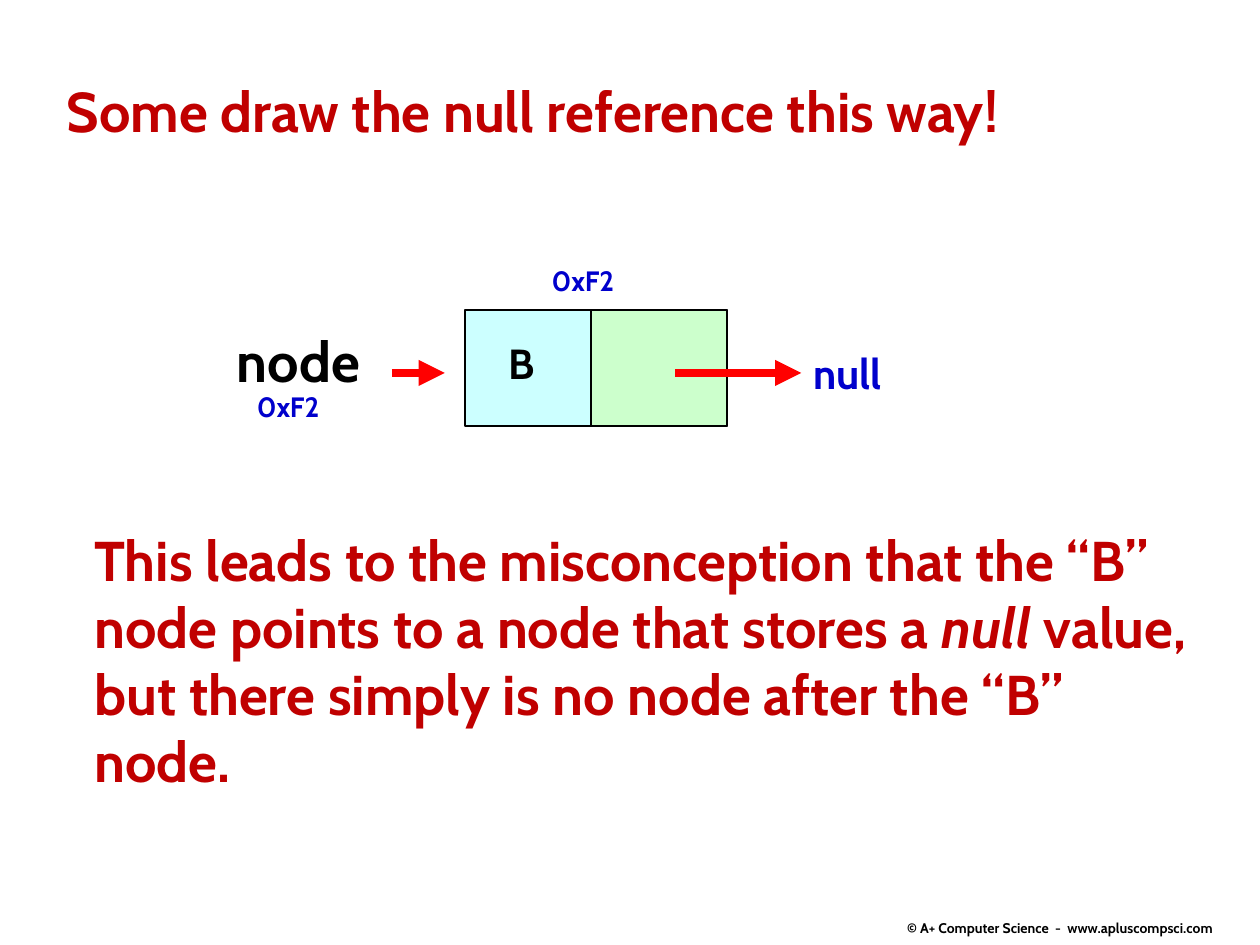
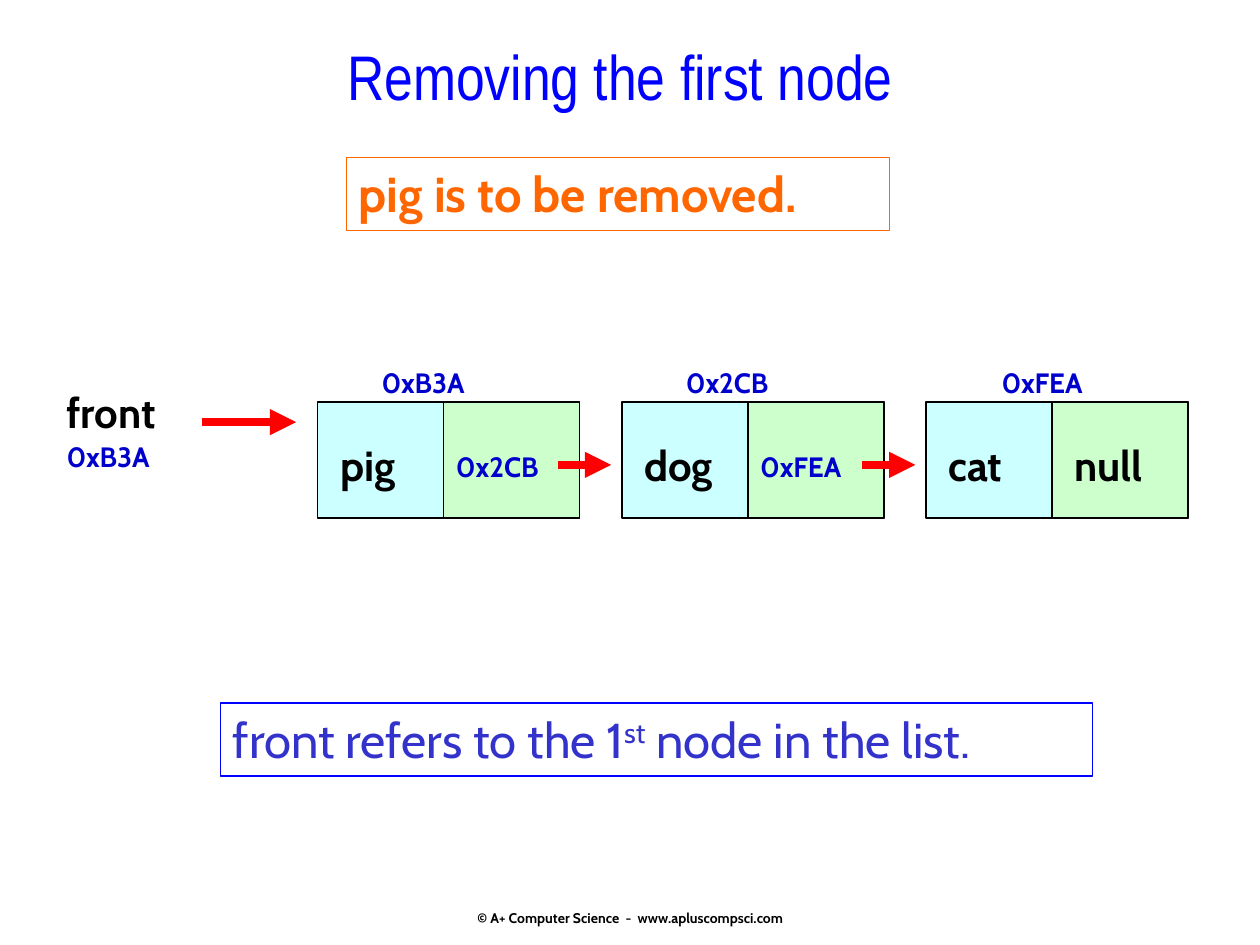
from lxml.etree import SubElement
from pptx import Presentation
from pptx.dml.color import RGBColor
from pptx.enum.shapes import MSO_CONNECTOR, MSO_SHAPE
from pptx.enum.text import MSO_ANCHOR, PP_ALIGN
from pptx.oxml.ns import qn
from pptx.util import Inches, Pt

COLORS = {
    "black": "000000", "link": "0000CC", "arrow": "FF0000",
    "data": "CCFFFF", "next": "CCFFCC", "red": "C00000",
    "orange": "FF6600", "blue": "0000FF", "note": "3333CC",
}

# style: font, size, colour, bold
STYLES = {
    "foot": ("Cabin", 8, "black", True),
    "head": ("Cabin", 32, "red", True),
    "title": ("Arial Narrow", 36, "blue", False),
    "name": ("Cabin", 32, "black", True),
    "value": ("Cabin", 24, "black", True),
    "null": ("Cabin", 24, "link", True),
    "addr": ("Cabin", 16, "link", True),
    "alert": ("Cabin", 28, "orange", True),
    "note": ("Cabin", 28, "note", False),
}

FOOTER = "© A+ Computer Science  -  www.apluscompsci.com"
HEAD = "Some draw the null reference this way!"
CLAIM = [
    ("This leads to the misconception that the “B” node points to a node "
     "that stores a ", None),
    ("null", "italic"),
    (" value, but there simply is no node after the “B” node.", None),
]
NOTE = [("front refers to the 1", None), ("st", "super"),
        (" node in the list.", None)]

# value, address, address offset, next, style of next
LIST = [
    ("pig", "0xB3A", 0.41, "0x2CB", "addr"),
    ("dog", "0x2CB", 0.41, "0xFEA", "addr"),
    ("cat", "0xFEA", 0.5, "null", "value"),
]

NODE_W, NODE_H, DATA_W = 2.08, 0.92, 1.0
NEXT_W = NODE_W - DATA_W
TALL, SMALL = 0.5, 0.37  # label heights
LIST_X, LIST_Y, PITCH = 2.52, 3.19, 2.415


def color(name):
    return RGBColor.from_string(COLORS[name])


def write(shape, runs, style, center=False, side=0.1, anchor=MSO_ANCHOR.TOP):
    """Fill a shape with one paragraph, given as a string or (text, effect) pairs."""
    frame = shape.text_frame
    frame.word_wrap = True
    frame.vertical_anchor = anchor
    frame.margin_left = frame.margin_right = Inches(side)
    para = frame.paragraphs[0]
    para.alignment = PP_ALIGN.CENTER if center else PP_ALIGN.LEFT
    font = para.font
    font.name, size, tint, font.bold = STYLES[style]
    font.size = Pt(size)
    font.color.rgb = color(tint)
    for text, effect in [(runs, None)] if isinstance(runs, str) else runs:
        run = para.add_run()
        run.text = text
        if effect == "italic":
            run.font.italic = True
        elif effect == "super":
            run._r.get_or_add_rPr().set("baseline", "30000")


def label(slide, box, runs, style, **layout):
    shape = slide.shapes.add_textbox(*map(Inches, box))
    write(shape, runs, style, **layout)
    return shape


def rect(slide, box, fill=None, line="black", width=1):
    shape = slide.shapes.add_shape(MSO_SHAPE.RECTANGLE, *map(Inches, box))
    shape.shadow.inherit = False
    if fill:
        shape.fill.solid()
        shape.fill.fore_color.rgb = color(fill)
    else:
        shape.fill.background()
    shape.line.color.rgb = color(line)
    shape.line.width = Pt(width)
    return shape


def arrow(slide, start, end, y):
    link = slide.shapes.add_connector(
        MSO_CONNECTOR.STRAIGHT, Inches(start), Inches(y), Inches(end), Inches(y))
    link.line.color.rgb = color("arrow")
    link.line.width = Pt(5)
    SubElement(link.line._get_or_add_ln(), qn("a:tailEnd"), type="triangle")
    SubElement(link._element.spPr, qn("a:effectLst"))


def node(slide, x, y):
    """Draw the data and next cells of a list node."""
    rect(slide, (x, y, NODE_W, NODE_H), "data")
    rect(slide, (x + DATA_W, y, NEXT_W, NODE_H), "next")


def page(deck, foot_x, foot_y):
    slide = deck.slides.add_slide(deck.slide_layouts[6])
    foot = label(slide, (foot_x, foot_y, 3.17, 0.5), FOOTER, "foot",
                 center=True, anchor=MSO_ANCHOR.BOTTOM)
    foot.text_frame.margin_bottom = 0
    return slide


def null_page(deck):
    slide = page(deck, 6.83, 6.93)
    x, y = 3.69, 2.46
    mid = y + 0.5
    arrow(slide, 3.11, 3.53, mid)
    node(slide, x, y)
    arrow(slide, 5.36, 6.36, mid)
    label(slide, (x + 0.25, 2.63, 0.92, TALL), "B", "value")
    label(slide, (6.36, 2.71, NEXT_W, TALL), "null", "null")
    label(slide, (1.78, 2.54, 1.42, 0.63), "node", "name")
    for left, top in [(1.94, 3.04), (4.28, 2.04)]:
        label(slide, (left, top, NEXT_W, SMALL), "0xF2", "addr")
    label(slide, (0.43, 0.56, 9.12, 0.64), HEAD, "head")
    label(slide, (0.65, 4.12, 8.9, 2.26), CLAIM, "head")


def remove_page(deck):
    slide = page(deck, 3.42, 6.85)
    label(slide, (2.67, 0.25, 4.5, 0.58), "Removing the first node", "title",
          center=True, side=0)
    alert = rect(slide, (2.75, 1.25, 4.31, 0.58), line="orange", width=0.75)
    write(alert, "pig is to be removed.", "alert")
    note = rect(slide, (1.75, 5.58, 6.92, 0.58), line="blue")
    write(note, NOTE, "note")

    xs = [LIST_X + i * PITCH for i in range(len(LIST))]
    for x in xs:
        node(slide, x, LIST_Y)
    for x, (value, addr, shift, after, style) in zip(xs, LIST):
        label(slide, (x + 0.08, 3.44, 0.92, TALL), value, "value")
        label(slide, (x + shift, 2.85, NEXT_W, SMALL), addr, "addr")
        if after == "null":
            label(slide, (x + DATA_W + 0.08, 3.44, NEXT_W, TALL), after, style)
        else:
            label(slide, (x + DATA_W, 3.52, NEXT_W, SMALL), after, style)
            arrow(slide, x + 1.91, x + 2.33, LIST_Y + 0.5)
    label(slide, (0.43, 3.02, 1.17, TALL), "front", "value")
    label(slide, (0.43, 3.44, NEXT_W, SMALL), LIST[0][1], "addr")
    arrow(slide, 1.6, 2.35, 3.35)


def main():
    deck = Presentation()
    deck.slide_width, deck.slide_height = Inches(10), Inches(7.5)
    null_page(deck)
    remove_page(deck)
    deck.save("out.pptx")


if __name__ == "__main__":
    main()
